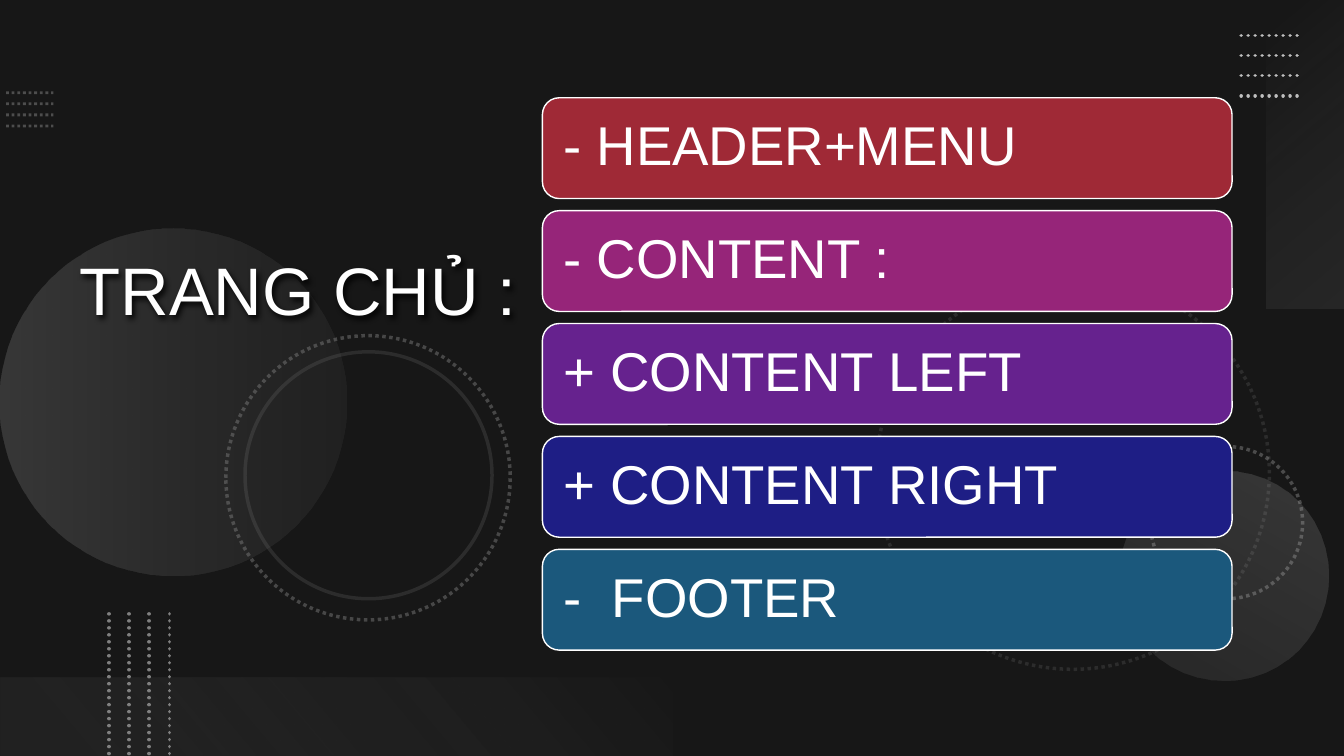
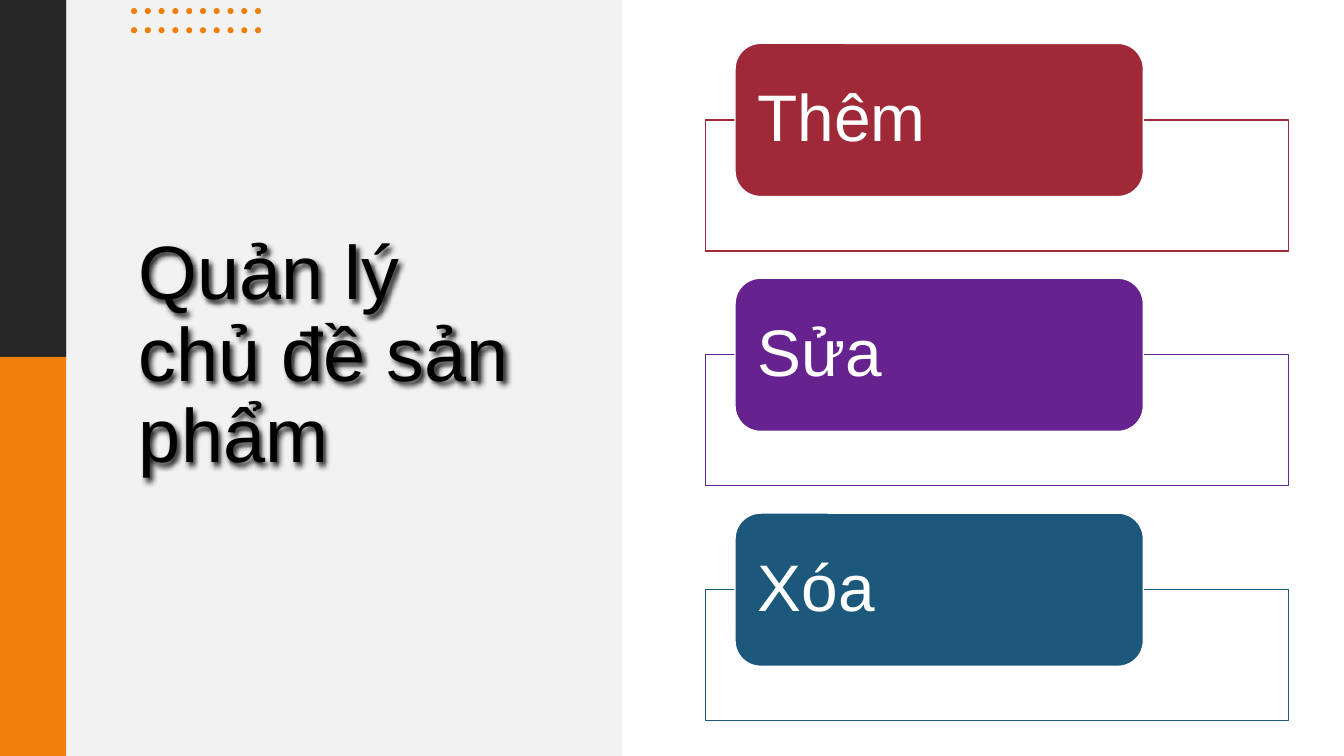
from lxml.etree import SubElement
from pptx import Presentation
from pptx.dml.color import RGBColor
from pptx.enum.dml import MSO_LINE
from pptx.enum.shapes import MSO_CONNECTOR, MSO_SHAPE
from pptx.enum.text import MSO_ANCHOR, PP_ALIGN
from pptx.oxml.ns import qn
from pptx.util import Inches, Pt

COLORS = {
    "white": "FFFFFF", "black": "000000", "backdrop": "323232",
    "charcoal": "262626", "panel": "F2F2F2", "orange": "F07F09",
    "gray": "808080", "mid_gray": "848484", "light_gray": "BFBFBF",
    "red": "9F2936", "magenta": "962579", "purple": "66228E",
    "navy": "1E1E85", "blue": "1B587C",
}
FONT = "Arial"
SLIDE_SIZE = (13.33, 7.5)
TITLE_SHADOW = {"blurRad": "50800", "dist": "38100", "dir": "3600000",
                "algn": "tl", "rotWithShape": "0"}


def rgb(name):
    return RGBColor.from_string(COLORS[name])


def set_formats(target, formats):
    for name, value in formats.items():
        setattr(target, name, value)


def set_alpha(color_element, percent):
    SubElement(color_element, qn("a:alpha"), val=str(int(percent * 1000)))


def set_line(shape, color, width, alpha=100, dotted=False, round_cap=False):
    shape.line.color.rgb = rgb(color)
    shape.line.width = Pt(width)
    if dotted:
        shape.line.dash_style = MSO_LINE.ROUND_DOT
    line_element = shape.element.spPr.find(qn("a:ln"))
    if round_cap:
        line_element.set("cap", "rnd")
    if alpha < 100:
        set_alpha(next(line_element.iter(qn("a:srgbClr"))), alpha)


def add_block(slide, kind, box, fill=None, alpha=100, rotation=0):
    """Add a preset shape with a plain fill, or none, and no line."""
    shape = slide.shapes.add_shape(kind, *map(Inches, box))
    shape.shadow.inherit = False
    shape.rotation = rotation
    shape.line.fill.background()
    if fill is None:
        shape.fill.background()
        return shape
    shape.fill.solid()
    shape.fill.fore_color.rgb = rgb(fill)
    if alpha < 100:
        set_alpha(next(shape.element.spPr.iter(qn("a:srgbClr"))), alpha)
    return shape


def add_gradient(slide, kind, box, rotation, angle, stops):
    """Each stop is (position, color, opacity percent)."""
    shape = add_block(slide, kind, box, rotation=rotation)
    shape.fill.gradient()
    shape.fill.gradient_angle = 360 - angle
    for stop, (position, color, alpha) in zip(shape.fill.gradient_stops, stops):
        stop.position = position
        stop.color.rgb = rgb(color)
    gradient = shape.element.spPr.find(qn("a:gradFill"))
    for color_element, (_, _, alpha) in zip(gradient.iter(qn("a:srgbClr")), stops):
        set_alpha(color_element, alpha)


def add_ring(slide, left, top, diameter, alpha, dotted=True):
    ring = add_block(slide, MSO_SHAPE.OVAL, (left, top, diameter, diameter))
    set_line(ring, "gray", 2.5, alpha, dotted)


def add_dotted_lines(slide, start, end, step, count, color, **line_formats):
    """Add parallel lines, each moved by step from the one before."""
    for index in range(count):
        points = [place + index * move
                  for place, move in zip((*start, *end), (*step, *step))]
        connector = slide.shapes.add_connector(
            MSO_CONNECTOR.STRAIGHT, *map(Inches, points))
        set_line(connector, color, dotted=True, **line_formats)
        SubElement(connector.element.spPr, qn("a:effectLst"))


def write_text(shape, text, size, color, insets):
    frame = shape.text_frame
    sides = ("margin_left", "margin_top", "margin_right", "margin_bottom")
    set_formats(frame, {"word_wrap": True, "vertical_anchor": MSO_ANCHOR.MIDDLE,
                        **dict(zip(sides, map(Inches, insets)))})
    paragraph = frame.paragraphs[0]
    paragraph.text = text
    set_formats(paragraph, {"alignment": PP_ALIGN.LEFT, "line_spacing": 0.9})
    set_formats(paragraph.runs[0].font, {"name": FONT, "size": Pt(size)})
    paragraph.runs[0].font.color.rgb = rgb(color)


def add_title(slide, box, text, size, color, bottom_inset=0.05):
    title = slide.shapes.add_textbox(*map(Inches, box))
    write_text(title, text, size, color, (0.1, 0.05, 0.1, bottom_inset))
    effects = SubElement(title.element.spPr, qn("a:effectLst"))
    shadow = SubElement(effects, qn("a:outerShdw"), **TITLE_SHADOW)
    set_alpha(SubElement(shadow, qn("a:srgbClr"), val=COLORS["black"]), 90)


def add_card(slide, box, text, size, fill, insets):
    card = add_block(slide, MSO_SHAPE.ROUNDED_RECTANGLE, box, fill)
    set_line(card, "white", 1)
    write_text(card, text, size, "white", insets)


def add_slide(presentation, background):
    slide = presentation.slides.add_slide(presentation.slide_layouts[6])
    slide.background.fill.solid()
    slide.background.fill.fore_color.rgb = rgb(background)
    return slide


def decorate_home(slide):
    add_block(slide, MSO_SHAPE.RECTANGLE, (0, 0, *SLIDE_SIZE), "black", alpha=53)
    add_dotted_lines(slide, (0.06, 0.92), (0.53, 0.92), (0, 0.11), 4,
                     "mid_gray", width=2, alpha=50)

    # Rings and discs
    add_ring(slide, 8.69, 2.74, 3.9, 20)
    add_ring(slide, 11.41, 4.43, 1.51, 50)
    add_gradient(slide, MSO_SHAPE.OVAL, (0, 2.27, 3.44, 3.44), 270, 90,
                 [(0, "light_gray", 20), (1, "gray", 10)])
    add_gradient(slide, MSO_SHAPE.OVAL, (11.1, 4.67, 2.08, 2.08), 210, 90,
                 [(0, "light_gray", 10), (1, "light_gray", 20)])
    add_ring(slide, 2.24, 3.33, 2.82, 45)
    add_ring(slide, 2.43, 3.49, 2.45, 20, dotted=False)

    # Corner bands with dotted lines
    add_gradient(slide, MSO_SHAPE.RECTANGLE, (11.42, 1.14, 3.06, 0.78), 270, 140,
                 [(0, "white", 0), (1, "light_gray", 10)])
    add_dotted_lines(slide, (12.31, 0.35), (12.91, 0.35), (0, 0.2), 4,
                     "light_gray", width=2.5, round_cap=True)
    add_gradient(slide, MSO_SHAPE.RECTANGLE, (0, 6.72, 6.67, 0.78), 180, 140,
                 [(0.1, "gray", 10), (1, "white", 0)])
    add_dotted_lines(slide, (1.08, 6.09), (1.08, 7.5), (0.2, 0), 4,
                     "gray", width=2.5, round_cap=True)


def build_home(presentation):
    slide = add_slide(presentation, "backdrop")
    decorate_home(slide)
    add_title(slide, (0.69, 0.54, 4.59, 6.17), "TRANG CHỦ :", 48, "white",
              bottom_inset=1.47)
    sections = [("- HEADER+MENU", "red"), ("- CONTENT :", "magenta"),
                ("+ CONTENT LEFT", "purple"), ("+ CONTENT RIGHT", "navy"),
                ("-  FOOTER", "blue")]
    for index, (text, color) in enumerate(sections):
        add_card(slide, (5.38, 0.97 + 1.12 * index, 6.84, 1), text, 39, color,
                 (0.16, 0.16, 0.16, 0.16))


def build_topics(presentation):
    slide = add_slide(presentation, "white")

    # Side bars and title panel
    for box, color in [((0, 0, 0.66, 3.54), "charcoal"),
                       ((0, 3.54, 0.66, 3.96), "orange"),
                       ((0.66, 0, 5.51, 7.5), "panel")]:
        add_block(slide, MSO_SHAPE.RECTANGLE, box, color)
    add_title(slide, (1.28, 1.31, 4.12, 4.46), "Quản lý chủ đề sản phẩm",
              54, "black")

    # Dot grid
    for column in range(10):
        for top in (0.08, 0.27):
            add_block(slide, MSO_SHAPE.OVAL,
                      (1.3 + 1.23 / 9 * column, top, 0.06, 0.06), "orange")

    # Actions
    actions = [("Thêm", "red"), ("Sửa", "purple"), ("Xóa", "blue")]
    for index, (text, color) in enumerate(actions):
        top = 0.43 + 2.33 * index
        outline = add_block(slide, MSO_SHAPE.RECTANGLE,
                            (7, top + 0.76, 5.78, 1.3), "white", alpha=90)
        set_line(outline, color, 1)
        add_card(slide, (7.29, top, 4.05, 1.52), text, 47, color,
                 (0.15, 0, 0.15, 0))


def main():
    presentation = Presentation()
    width, height = map(Inches, SLIDE_SIZE)
    set_formats(presentation, {"slide_width": width, "slide_height": height})
    build_home(presentation)
    build_topics(presentation)
    presentation.save("out.pptx")


if __name__ == "__main__":
    main()
